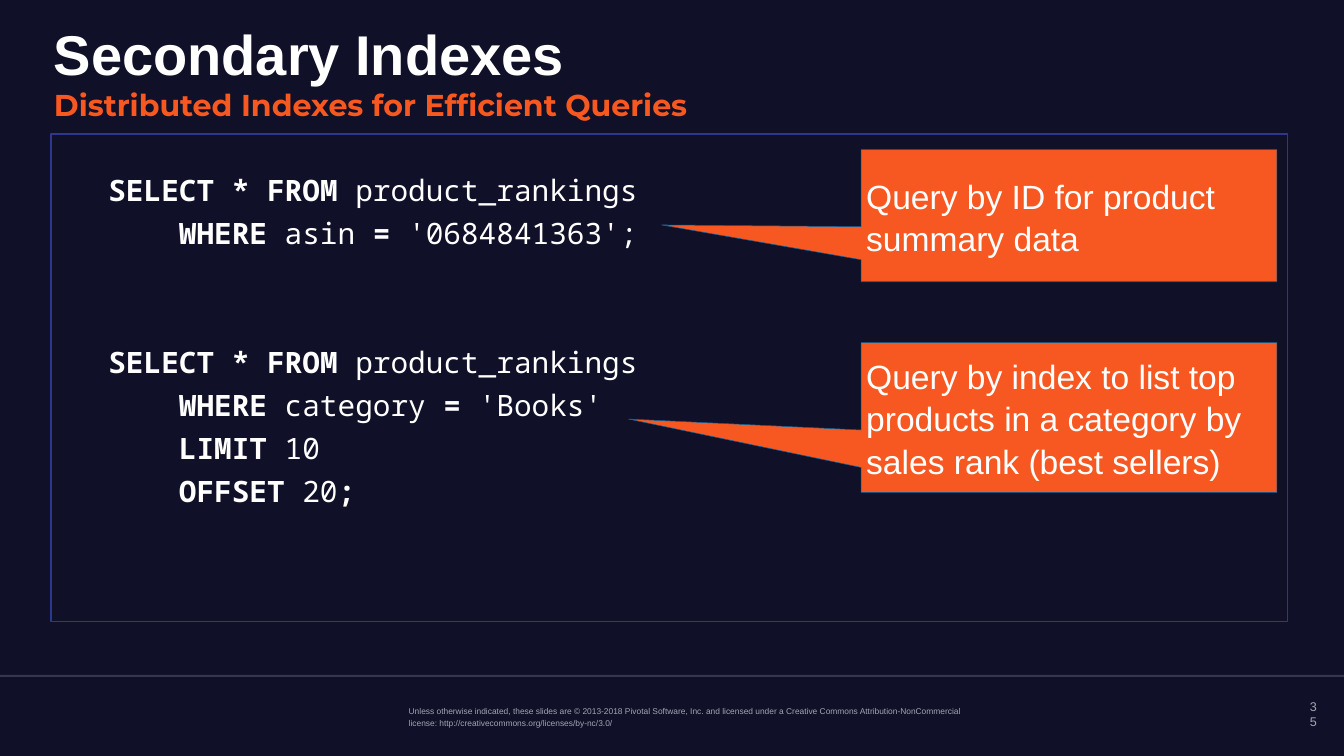
from lxml import etree
from pptx import Presentation
from pptx.dml.color import RGBColor
from pptx.enum.shapes import MSO_SHAPE
from pptx.enum.text import MSO_ANCHOR, PP_ALIGN
from pptx.oxml.ns import qn
from pptx.util import Inches, Pt

RECT = MSO_SHAPE.RECTANGLE
CALLOUT = MSO_SHAPE.ROUNDED_RECTANGULAR_CALLOUT
TOP, MIDDLE = MSO_ANCHOR.TOP, MSO_ANCHOR.MIDDLE
LEFT, RIGHT = PP_ALIGN.LEFT, PP_ALIGN.RIGHT

NAVY, WHITE, GREY = "101128", "FFFFFF", "A3A4B5"
ORANGE, BLUE, EDGE = "F75821", "2E368F", "0065A7"
LINE, GAP = 50.4, 11  # code line height and space before, in points

# Each line is a list of (text, bold) runs.
QUERIES = [
    [
        [("SELECT * FROM ", True), ("product_rankings", False)],
        [("    WHERE ", True), ("asin", False), (" = ", True),
         ("'0684841363';", False)],
    ],
    [
        [("SELECT * FROM ", True), ("product_rankings", False)],
        [("    WHERE ", True), ("category", False), (" = ", True),
         ("'Books'", False)],
        [("    LIMIT ", True), ("10", False)],
        [("    OFFSET ", True), ("20", False), (";", True)],
    ],
]
NOTES = [
    ("Query by ID for product summary data",
     (17.09, 2.97, 8.25, 2.62), (-0.98, 0.07, 0)),
    ("Query by index to list top products in a category by sales rank "
     "(best sellers)",
     (17.09, 6.8, 8.25, 2.97), (-1.06, 0.01, 0)),
]


def color(code):
    return RGBColor.from_string(code)


def place(box):
    return [Inches(v) for v in box]


def setup(frame, inset, anchor=TOP):
    frame.word_wrap = True
    frame.vertical_anchor = anchor
    frame.margin_left = frame.margin_right = Inches(inset)
    frame.margin_top = frame.margin_bottom = Inches(inset)
    return frame


def add_run(para, text, size, code, face="Arial", bold=False):
    run = para.add_run()
    run.text = text
    font = run.font
    font.size, font.name, font.bold = Pt(size), face, bold
    font.color.rgb = color(code)


def add_text(slide, box, inset, anchor=TOP):
    return setup(slide.shapes.add_textbox(*place(box)).text_frame,
                 inset, anchor)


def add_box(slide, kind, box, fill=None, line=None, width=1):
    shape = slide.shapes.add_shape(kind, *place(box))
    shape.shadow.inherit = False
    if fill:
        shape.fill.solid()
        shape.fill.fore_color.rgb = color(fill)
    else:
        shape.fill.background()
    if line:
        shape.line.color.rgb = color(line)
        shape.line.width = Pt(width)
    else:
        shape.line.fill.background()
    return shape


def add_title(slide, box):
    title = slide.shapes.title
    title.left, title.top, title.width, title.height = place(box)
    para = setup(title.text_frame, 0.13, MIDDLE).paragraphs[0]
    para.alignment = LEFT
    add_run(para, "Secondary Indexes", 80, WHITE, bold=True)
    para.add_line_break()
    add_run(para, "Distributed Indexes for Efficient Queries", 43,
            "F75820", "Montserrat", True)


def add_code(slide, box):
    """Set the queries in one text box, two lines apart."""
    frame = add_text(slide, box, 0.03)
    for q, query in enumerate(QUERIES):
        for n, line in enumerate(query):
            first = q == n == 0
            para = frame.paragraphs[0] if first else frame.add_paragraph()
            para.line_spacing = Pt(LINE)
            if not first:
                skip = 2 * (LINE + GAP) if n == 0 else 0
                para.space_before = Pt(GAP + skip)
            for text, bold in line:
                add_run(para, text, 42, WHITE, "Noto Sans Mono", bold)


def add_note(slide, text, box, tip):
    shape = add_box(slide, CALLOUT, box, ORANGE, EDGE, 0.75)
    for i, value in enumerate(tip):
        shape.adjustments[i] = value
    para = setup(shape.text_frame, 0.1, MIDDLE).paragraphs[0]
    para.alignment = LEFT
    para.line_spacing = 1.05
    add_run(para, text, 48, WHITE)


def add_footer(slide, box):
    """Draw the rule, the licence line and the page number."""
    left, top, width, _ = box
    rule = add_box(slide, RECT, (left, top, width, 0.04), GREY)
    tint = rule.fill._xPr.find(".//" + qn("a:srgbClr"))
    etree.SubElement(tint, qn("a:alpha")).set("val", "26000")

    frame = add_text(slide, (left + 7.98, top + 0.46, 11.71, 0.68), 0.13)
    para = frame.paragraphs[0]
    para.line_spacing = 1.15
    add_run(para, "Unless otherwise indicated, these slides are © 2013-2018 "
            "Pivotal Software, Inc. and licensed under a Creative Commons "
            "Attribution-NonCommercial license: "
            "http://creativecommons.org/licenses/by-nc/3.0/", 12, GREY)

    frame = add_text(slide, (left + 25.75, top + 0.49, 0.51, 0.57),
                     0.13, MIDDLE)
    para = frame.paragraphs[0]
    para.alignment = RIGHT
    add_run(para, "35", 18, GREY)


def main():
    deck = Presentation()
    deck.slide_width, deck.slide_height = Inches(26.67), Inches(15)
    slide = deck.slides.add_slide(deck.slide_layouts[5])
    slide.background.fill.solid()
    slide.background.fill.fore_color.rgb = color(NAVY)
    add_footer(slide, (0, 13.39, 26.67, 1.61))
    add_title(slide, (0.94, 0.49, 24.79, 1.85))
    add_box(slide, RECT, (1.01, 2.66, 24.54, 9.67), line=BLUE, width=2)
    add_code(slide, (2.12, 3.39, 22.34, 8.78))
    for text, box, tip in NOTES:
        add_note(slide, text, box, tip)
    deck.save("out.pptx")


if __name__ == "__main__":
    main()
